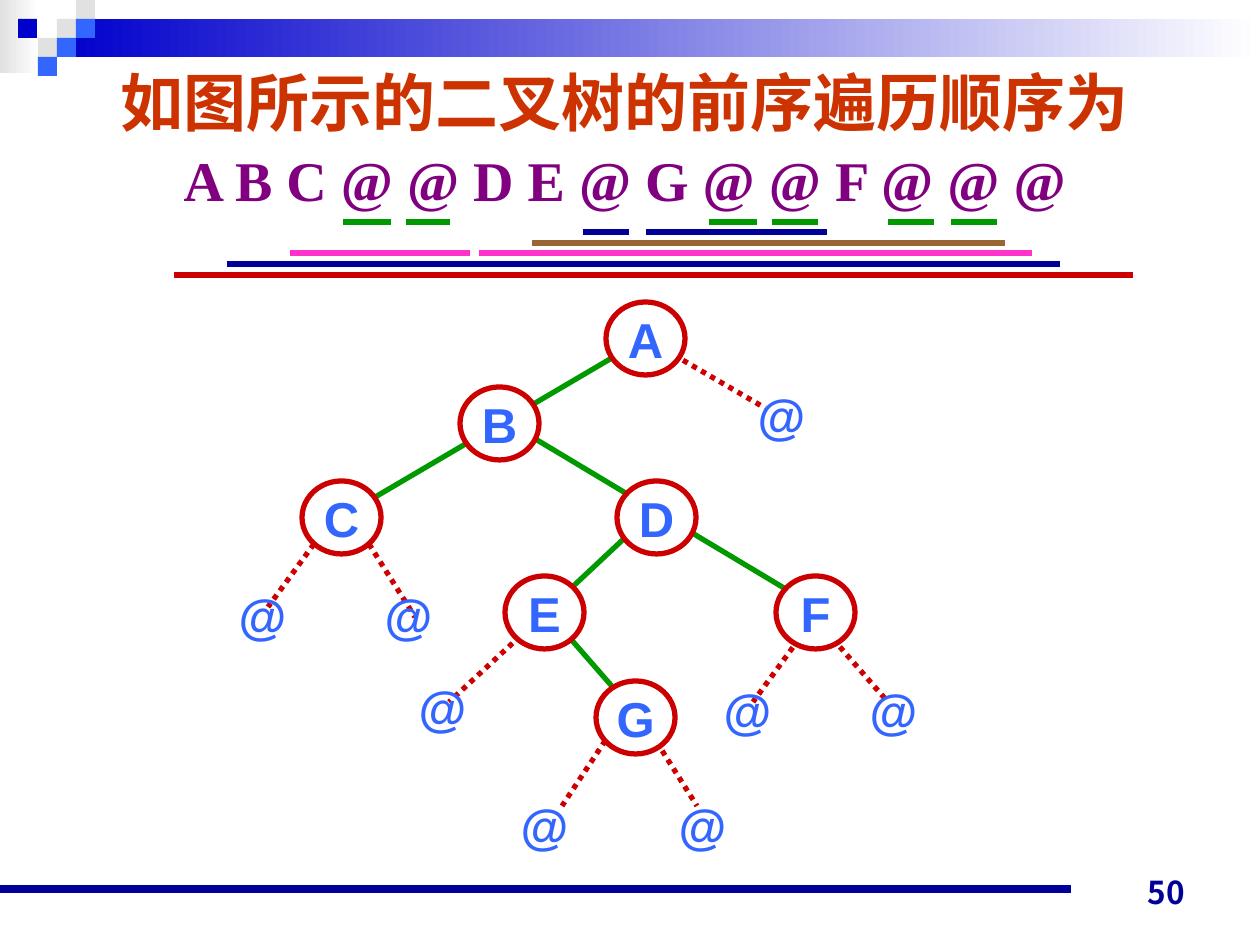
from lxml import etree
from pptx import Presentation
from pptx import util as u
from pptx.dml.color import RGBColor
from pptx.enum import dml, shapes, text
from pptx.oxml.ns import qn

PX = 914400 / 126
WHITE = RGBColor(0xFF, 0xFF, 0xFF)
GREY = RGBColor(0xE1, 0xE1, 0xE1)
BLUE = RGBColor(0x00, 0x00, 0xCC)
SKY = RGBColor(0x33, 0x66, 0xFF)
NAVY = RGBColor(0x00, 0x00, 0x99)
RED = RGBColor(0xCC, 0x00, 0x00)
GREEN = RGBColor(0x00, 0x99, 0x00)
BROWN = RGBColor(0x99, 0x66, 0x33)
PINK = RGBColor(0xFF, 0x33, 0xCC)
ORANGE = RGBColor(0xCC, 0x33, 0x00)
PURPLE = RGBColor(0x80, 0x00, 0x80)
CJK = "Noto Sans CJK JP"
NODE_W, NODE_H, SQUARE = 79, 73, 19

SQUARES = [(57, 19, GREY), (76, 0, GREY), (76, 19, SKY), (38, 38, GREY),
           (18, 19, BLUE), (57, 38, SKY), (38, 57, SKY)]
NULL_EDGES = [(528, 629, 449, 702), (617, 723, 562, 806), (651, 733, 697, 806),
              (314, 544, 268, 607), (369, 544, 415, 617), (833, 639, 888, 702),
              (674, 355, 765, 408), (799, 639, 753, 702)]
TREE_EDGES = [(562, 629, 617, 692), (629, 534, 551, 607),
              (517, 428, 799, 597), (617, 355, 348, 513)]
NODES = {"A": (606, 302), "B": (460, 387), "C": (302, 481), "D": (617, 481),
         "E": (505, 576), "F": (776, 576), "G": (596, 681)}
NULLS = [(223, 578), (369, 578), (403, 670), (505, 788),
         (663, 788), (708, 673), (854, 673), (742, 378)]
# One level of subtrees per row: y, colour, spans from left to right
UNDERLINES = [
    (222, GREEN, [(343, 391), (406, 450), (709, 757), (772, 818), (888, 934), (951, 997)]),
    (232, NAVY, [(583, 629), (646, 827)]),
    (243, BROWN, [(532, 835), (825, 1005)]),
    (253, PINK, [(290, 470), (479, 1032)]),
    (264, NAVY, [(227, 1050), (1014, 1060)]),
    (275, RED, [(174, 1133)]),
]


def px(*lengths):
    return [u.Emu(round(n * PX)) for n in lengths]


def write(p, words, size, color, font="Arial", align=text.PP_ALIGN.CENTER, spacing=None):
    p.alignment = align
    p.line_spacing = spacing
    r = p.add_run()
    r.text = words
    r.font.size = u.Pt(size)
    r.font.bold = True
    r.font.name = font
    r.font.color.rgb = color
    ea = etree.SubElement(r._r.get_or_add_rPr(), qn("a:ea"))
    ea.set("typeface", CJK)


class Board:
    """Current slide and the style of its elements."""

    def __init__(self, slide, line_width=3):
        self.shapes = slide.shapes
        self.line_width = line_width

    def shape(self, kind, x, y, w, h, fill=None, line=None):
        sp = self.shapes.add_shape(kind, *px(x, y, w, h))
        sp.shadow.inherit = False
        if fill is not None:
            sp.fill.solid()
            sp.fill.fore_color.rgb = fill
        if line is None:
            sp.line.fill.background()
        else:
            sp.line.color.rgb = line
            sp.line.width = u.Pt(self.line_width)
        return sp

    def rect(self, x, y, w, h, fill=None):
        return self.shape(shapes.MSO_SHAPE.RECTANGLE, x, y, w, h, fill)

    def fade(self, x, y, w, h, start):
        """Rectangle that fades to white from left to right."""
        fill = self.rect(x, y, w, h).fill
        fill.gradient()
        fill.gradient_angle = 0
        for stop, color, position in zip(fill.gradient_stops, (start, WHITE), (0, 1)):
            stop.color.rgb = color
            stop.position = position

    def line(self, x1, y1, x2, y2, color, width=None, dotted=False):
        cx = self.shapes.add_connector(shapes.MSO_CONNECTOR.STRAIGHT, *px(x1, y1, x2, y2))
        cx.line.color.rgb = color
        cx.line.width = u.Pt(width or self.line_width)
        if dotted:
            cx.line.dash_style = dml.MSO_LINE.ROUND_DOT
        etree.SubElement(cx._element.spPr, qn("a:effectLst"))

    def box(self, x, y, w, h, anchor=text.MSO_ANCHOR.MIDDLE):
        tf = self.shapes.add_textbox(*px(x, y, w, h)).text_frame
        tf.word_wrap = True
        tf.vertical_anchor = anchor
        return tf

    def label(self, x, y, words):
        tf = self.box(x, y, NODE_W, NODE_H)
        write(tf.paragraphs[0], words, 28, SKY)

    def node(self, x, y, name):
        self.shape(shapes.MSO_SHAPE.OVAL, x, y, NODE_W, NODE_H, WHITE, RED)
        self.label(x, y, name)


def main():
    prs = Presentation()
    prs.slide_width, prs.slide_height = u.Inches(10), u.Inches(7.5)
    s = Board(prs.slides.add_slide(prs.slide_layouts[6]))

    s.fade(0, 0, 39, 73, GREY)
    s.fade(57, 19, 1203, 38, BLUE)
    for x, y, color in SQUARES:
        s.rect(x, y, SQUARE, SQUARE, color)
    s.line(0, 889, 1071, 889, NAVY, width=4.5)
    number = s.box(903, 854, 294, 63, text.MSO_ANCHOR.BOTTOM)
    write(number.paragraphs[0], "50", 18, NAVY, CJK, text.PP_ALIGN.RIGHT)

    title = s.box(89, 49, 1072, 170)
    write(title.paragraphs[0], "如图所示的二叉树的前序遍历顺序为", 36, ORANGE,
          "Times New Roman", spacing=1.1)
    write(title.add_paragraph(), "A B C @ @ D E @ G @ @ F @ @ @", 32, PURPLE,
          "Times New Roman", spacing=1.1)

    for edge in NULL_EDGES:
        s.line(*edge, RED, dotted=True)
    for edge in TREE_EDGES:
        s.line(*edge, GREEN)
    for name, (x, y) in NODES.items():
        s.node(x, y, name)
    for x, y in NULLS:
        s.label(x, y, "@")

    for y, color, spans in UNDERLINES:
        for left, right in spans:
            s.line(left, y, right, y, color)

    prs.save("out.pptx")


if __name__ == "__main__":
    main()
